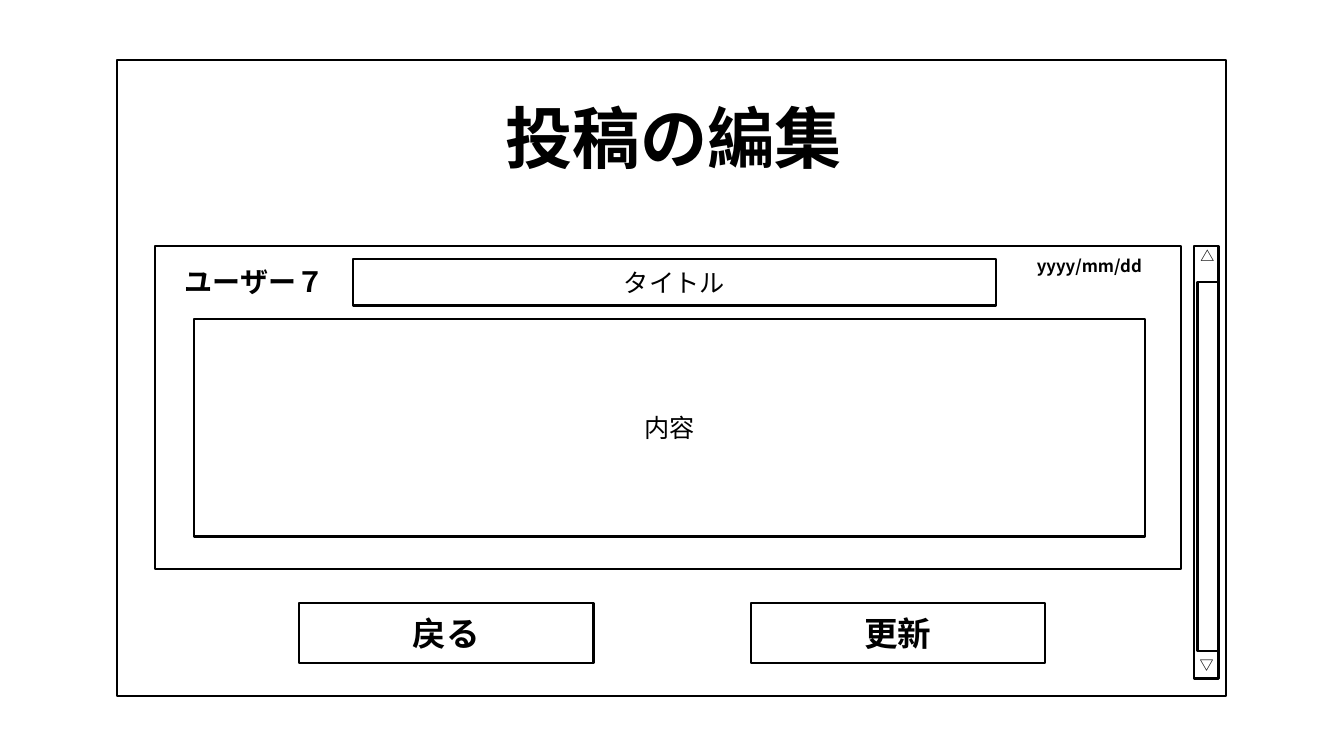
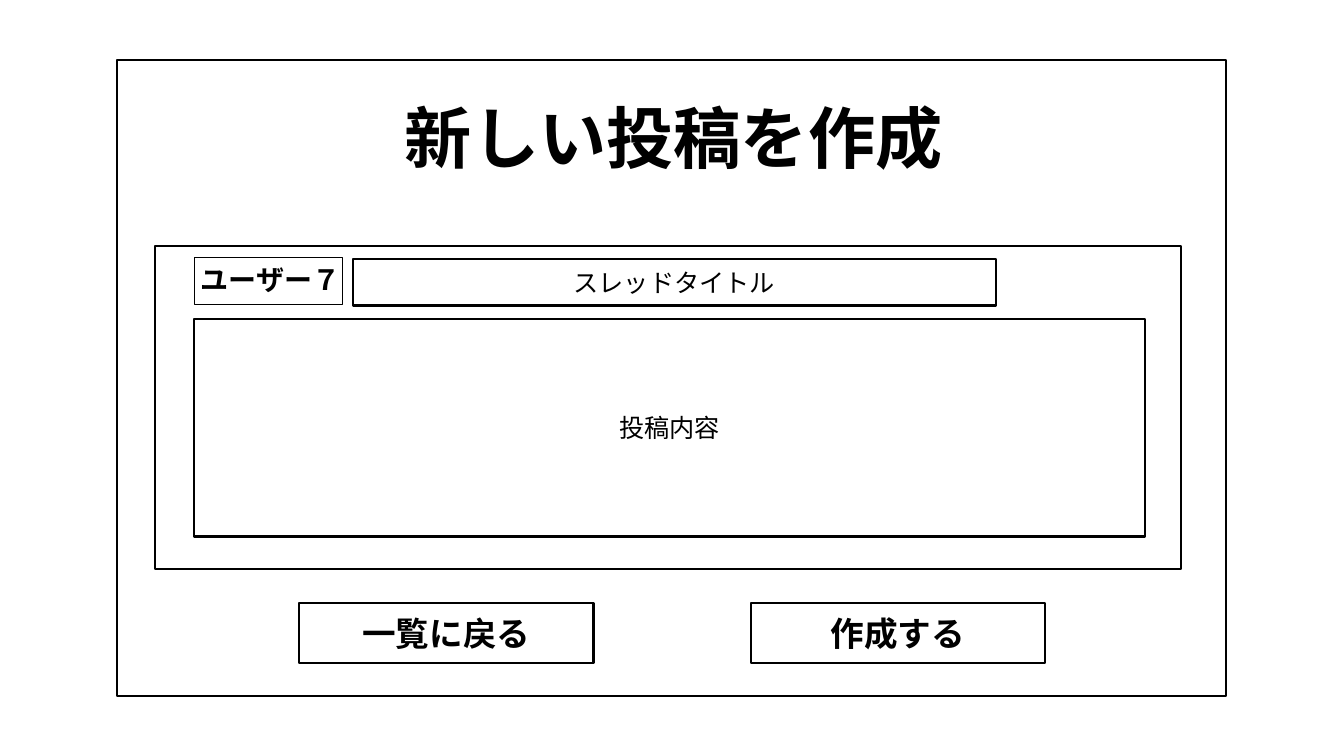
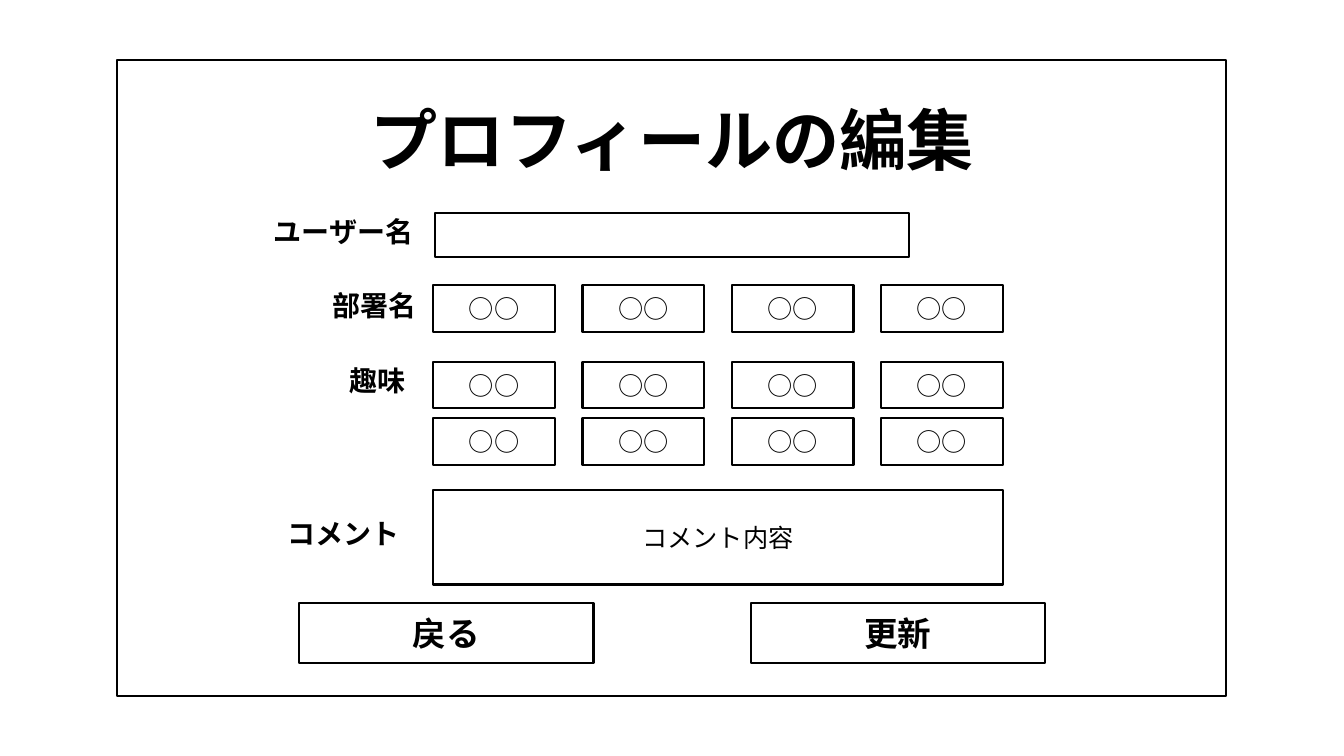
from dataclasses import dataclass

from lxml.etree import SubElement
from pptx import Presentation
from pptx.dml.color import RGBColor
from pptx.enum.shapes import MSO_SHAPE
from pptx.enum.text import MSO_ANCHOR, MSO_AUTO_SIZE, PP_ALIGN
from pptx.oxml.ns import qn
from pptx.shapes.autoshape import Shape
from pptx.slide import Slide
from pptx.text.text import TextFrame
from pptx.util import Cm, Pt

BLACK = RGBColor(0x00, 0x00, 0x00)
WHITE = RGBColor(0xFF, 0xFF, 0xFF)
FONT = "Noto Sans CJK JP"
TITLE_SIZE, BUTTON_SIZE, LABEL_SIZE, FIELD_SIZE = 48, 24, 20, 18
DATE_SIZE, ARROW_SIZE = 12, 10
TITLE_ONLY_LAYOUT = 5


@dataclass(frozen=True)
class Area:
    """A rectangle on the slide, in centimetres."""
    left: float
    top: float
    width: float
    height: float

    def lengths(self) -> tuple[Cm, Cm, Cm, Cm]:
        return Cm(self.left), Cm(self.top), Cm(self.width), Cm(self.height)


@dataclass(frozen=True)
class Box:
    """An outlined rectangle, with centred text if it has any."""
    area: Area
    text: str = ""
    size: int = FIELD_SIZE
    bold: bool = False
    filled: bool = True
    line: float = 1.5


@dataclass(frozen=True)
class Label:
    area: Area
    text: str
    size: int = LABEL_SIZE


@dataclass(frozen=True)
class Screen:
    title: str
    title_area: Area
    controls: list[Box | Label]
    back: str
    confirm: str


FRAME = Box(Area(2.95, 1.52, 27.94, 16.03))
TITLE_AREA = Area(9.6, 2.29, 14.76, 2.31)
BACK_AREA = Area(7.54, 15.19, 7.42, 1.52)
CONFIRM_AREA = Area(18.92, 15.19, 7.42, 1.52)
USER = "ユーザー７"

CHOICE_LEFT, CHOICE_PITCH = 10.92, 3.76
CHOICE_COLUMNS = 4


def write(frame: TextFrame, text: str, size: int, bold: bool) -> None:
    """Put one centred paragraph in the frame, with the font for Latin and Japanese."""
    frame.word_wrap = True
    frame.text = text
    paragraph = frame.paragraphs[0]
    paragraph.alignment = PP_ALIGN.CENTER
    font = paragraph.font
    font.size, font.bold, font.name = Pt(size), bold, FONT
    font.color.rgb = BLACK
    defaults = frame._txBody.find(f".//{qn('a:defRPr')}")
    SubElement(defaults, qn("a:ea"), typeface=FONT)


def write_growing(frame: TextFrame, text: str, size: int) -> None:
    """Write bold text from the top of a frame that grows with it."""
    write(frame, text, size, bold=True)
    frame.vertical_anchor = MSO_ANCHOR.TOP
    frame.auto_size = MSO_AUTO_SIZE.SHAPE_TO_FIT_TEXT


def draw_box(slide: Slide, box: Box) -> Shape:
    shape = slide.shapes.add_shape(MSO_SHAPE.RECTANGLE, *box.area.lengths())
    shape.shadow.inherit = False
    if box.filled:
        shape.fill.solid()
        shape.fill.fore_color.rgb = WHITE
    else:
        shape.fill.background()
    shape.line.color.rgb = BLACK
    shape.line.width = Pt(box.line)
    if box.text:
        write(shape.text_frame, box.text, box.size, box.bold)
        shape.text_frame.vertical_anchor = MSO_ANCHOR.MIDDLE
    return shape


def draw_label(slide: Slide, label: Label) -> None:
    textbox = slide.shapes.add_textbox(*label.area.lengths())
    write_growing(textbox.text_frame, label.text, label.size)


def draw_title(slide: Slide, text: str, area: Area) -> None:
    title = slide.shapes.title
    title.left, title.top, title.width, title.height = area.lengths()
    write_growing(title.text_frame, text, TITLE_SIZE)


def draw_screen(slide: Slide, screen: Screen) -> None:
    frame = draw_box(slide, FRAME)
    draw_title(slide, screen.title, screen.title_area)
    # The title must lie in front of the filled frame.
    frame.element.addnext(slide.shapes.title.element)
    for control in screen.controls:
        if isinstance(control, Box):
            draw_box(slide, control)
        else:
            draw_label(slide, control)
    for area, text in ((BACK_AREA, screen.back), (CONFIRM_AREA, screen.confirm)):
        draw_box(slide, Box(area, text, BUTTON_SIZE, bold=True))


def post_form(heading: str, user_left: float, user_top: float, content: str) -> list[Box | Label]:
    return [
        Box(Area(3.91, 6.2, 25.86, 8.15)),
        Box(Area(8.89, 6.53, 16.21, 1.17), heading),
        Label(Area(user_left, user_top, 4.19, 1.12), USER),
        Box(Area(4.9, 8.03, 23.95, 5.49), content),
    ]


def choice_row(top: float) -> list[Box]:
    return [
        Box(Area(CHOICE_LEFT + column * CHOICE_PITCH, top, 3.07, 1.17), "○○")
        for column in range(CHOICE_COLUMNS)
    ]


SCROLLBAR = [
    Box(Area(30.1, 6.2, 0.61, 10.9)),
    Box(Area(30.18, 7.11, 0.51, 9.3)),
    Label(Area(30, 6.12, 0.81, 0.69), "△", ARROW_SIZE),
    Label(Area(29.98, 16.41, 0.81, 0.69), "▽", ARROW_SIZE),
]
POST_DATE = Label(Area(25.12, 6.32, 4.67, 0.76), "yyyy/mm/dd", DATE_SIZE)
USER_OUTLINE = Box(Area(4.9, 6.5, 3.73, 1.17), filled=False, line=0.75)

PROFILE_FORM = [
    Label(Area(6.63, 5.28, 4.06, 1.12), "ユーザー名"),
    Box(Area(10.97, 5.36, 11.94, 1.12)),
    Label(Area(7.9, 7.14, 3.07, 1.12), "部署名"),
    *choice_row(7.19),
    Label(Area(8.1, 9.04, 2.82, 1.12), "趣味"),
    *choice_row(9.12),
    *choice_row(10.54),
    Label(Area(6.63, 12.9, 4.06, 1.12), "コメント"),
    Box(Area(CHOICE_LEFT, 12.34, 14.35, 2.39), "コメント内容"),
]

SCREENS = [
    Screen("投稿の編集", TITLE_AREA,
           [*post_form("タイトル", 4.32, 6.55, "内容"), POST_DATE, *SCROLLBAR],
           "戻る", "更新"),
    Screen("新しい投稿を作成", TITLE_AREA,
           [*post_form("スレッドタイトル", 4.72, 6.5, "投稿内容"), USER_OUTLINE],
           "一覧に戻る", "作成する"),
    Screen("プロフィールの編集", Area(9.02, 2.34, 15.85, 2.31),
           PROFILE_FORM, "戻る", "更新"),
]


def main() -> None:
    deck = Presentation()
    deck.slide_width, deck.slide_height = Cm(33.87), Cm(19.05)
    for screen in SCREENS:
        draw_screen(deck.slides.add_slide(deck.slide_layouts[TITLE_ONLY_LAYOUT]), screen)
    deck.save("out.pptx")


if __name__ == "__main__":
    main()
